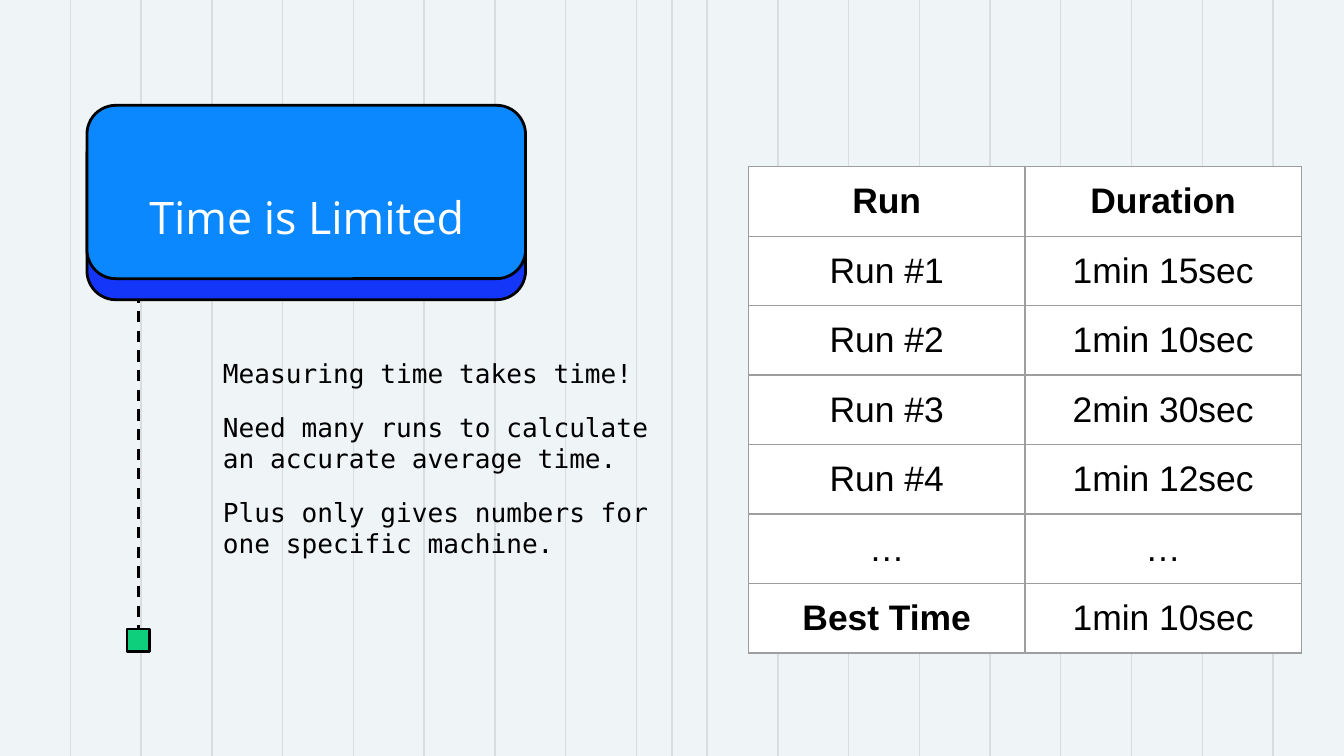
from lxml.etree import SubElement
from pptx import Presentation
from pptx.dml.color import RGBColor
from pptx.enum.dml import MSO_LINE
from pptx.enum.shapes import MSO_CONNECTOR, MSO_SHAPE
from pptx.enum.text import MSO_ANCHOR, PP_ALIGN
from pptx.oxml.ns import qn
from pptx.util import Pt

WIDTH, HEIGHT = 720, 405
GRID_STEP = 37.9
MARGIN = 7.2
BLACK, WHITE = "000000", "FFFFFF"
GRID_COLOR, BORDER_COLOR = "D9DDDF", "9E9E9E"
NOTES = [
    "Measuring time takes time!",
    "Need many runs to calculate an accurate average time.",
    "Plus only gives numbers for one specific machine.",
]
RUNS = [
    ("Run", "Duration"),
    ("Run #1", "1min 15sec"),
    ("Run #2", "1min 10sec"),
    ("Run #3", "2min 30sec"),
    ("Run #4", "1min 12sec"),
    ("…", "…"),
    ("Best Time", "1min 10sec"),
]
BOLD_LABELS = {"Run", "Duration", "Best Time"}


def color(value):
    return RGBColor.from_string(value)


def set_fill(fill, value):
    fill.solid()
    fill.fore_color.rgb = color(value)


def set_line(line, value, width):
    line.color.rgb = color(value)
    line.width = Pt(width)


def add_line(slide, x, top, bottom, value, width):
    connector = slide.shapes.add_connector(
        MSO_CONNECTOR.STRAIGHT, Pt(x), Pt(top), Pt(x), Pt(bottom))
    set_line(connector.line, value, width)
    SubElement(connector.element.spPr, qn("a:effectLst"))
    return connector


def add_block(slide, kind, left, top, width, height, fill):
    shape = slide.shapes.add_shape(kind, Pt(left), Pt(top), Pt(width), Pt(height))
    shape.shadow.inherit = False
    set_fill(shape.fill, fill)
    set_line(shape.line, BLACK, 1.5)
    return shape


def style_paragraph(paragraph, text, font, size, value, align, bold=False):
    paragraph.text = text
    paragraph.alignment = align
    paragraph.font.name = font
    paragraph.font.size = Pt(size)
    paragraph.font.bold = bold
    paragraph.font.color.rgb = color(value)


def add_text(slide, left, top, width, height, texts, font, size, value, align, anchor):
    frame = slide.shapes.add_textbox(Pt(left), Pt(top), Pt(width), Pt(height)).text_frame
    frame.word_wrap = True
    frame.vertical_anchor = anchor
    frame.margin_left = frame.margin_right = Pt(MARGIN)
    frame.margin_top = frame.margin_bottom = Pt(MARGIN)
    for index, text in enumerate(texts):
        paragraph = frame.add_paragraph() if index else frame.paragraphs[0]
        style_paragraph(paragraph, text, font, size, value, align)
        if index:
            paragraph.space_before = Pt(12)


def set_borders(cell, value, width):
    properties = cell._tc.get_or_add_tcPr()
    for side in ("a:lnL", "a:lnR", "a:lnT", "a:lnB"):
        border = SubElement(properties, qn(side), w=str(Pt(width)))
        fill = SubElement(border, qn("a:solidFill"))
        SubElement(fill, qn("a:srgbClr"), val=value)


def add_run_table(slide, left, top, column_width, row_height):
    columns = len(RUNS[0])
    table = slide.shapes.add_table(
        len(RUNS), columns, Pt(left), Pt(top),
        Pt(column_width * columns), Pt(row_height * len(RUNS))).table
    for row, texts in enumerate(RUNS):
        table.rows[row].height = Pt(row_height)
        for column, text in enumerate(texts):
            cell = table.cell(row, column)
            set_borders(cell, BORDER_COLOR, 0.75)
            set_fill(cell.fill, WHITE)
            cell.vertical_anchor = MSO_ANCHOR.MIDDLE
            cell.margin_left = cell.margin_right = Pt(MARGIN)
            cell.margin_top = cell.margin_bottom = Pt(MARGIN)
            style_paragraph(cell.text_frame.paragraphs[0], text, "Arial", 19,
                            BLACK, PP_ALIGN.CENTER, text in BOLD_LABELS)


def main():
    presentation = Presentation()
    presentation.slide_width, presentation.slide_height = Pt(WIDTH), Pt(HEIGHT)
    slide = presentation.slides.add_slide(presentation.slide_layouts[6])
    set_fill(slide.background.fill, "EFF4F6")

    # Background grid, with an extra line down the centre
    for number in range(1, 19):
        add_line(slide, number * GRID_STEP - 0.2, 0, HEIGHT, GRID_COLOR, 0.75)
    add_line(slide, WIDTH / 2, 0, HEIGHT, GRID_COLOR, 0.75)

    # Dashed stem ending in a green square
    square = add_block(slide, MSO_SHAPE.RECTANGLE, 68.1, 337, 12.2, 12.2, "0DCF7C")
    stem = add_line(slide, 74.2, 156.2, 337, BLACK, 1.5)
    stem.line.dash_style = MSO_LINE.DASH
    stem.end_connect(square, 0)

    # Title card with its raised face
    for top, fill in ((67.7, "1336F8"), (56.4, "0C88FF")):
        card = add_block(slide, MSO_SHAPE.ROUNDED_RECTANGLE, 46.6, top, 235, 92.9, fill)
        card.adjustments[0] = 0.167
    add_text(slide, 59.6, 67, 209.5, 70.6, ["Time is Limited"], "Open Sans", 24,
             WHITE, PP_ALIGN.CENTER, MSO_ANCHOR.BOTTOM)

    # Notes and measured runs
    add_text(slide, 112.3, 184.3, 251.3, 128.2, NOTES, "DejaVu Sans Mono", 14,
             BLACK, PP_ALIGN.LEFT, MSO_ANCHOR.TOP)
    add_run_table(slide, 401, 89.3, 148.1, 34.6)

    presentation.save("out.pptx")


if __name__ == "__main__":
    main()
